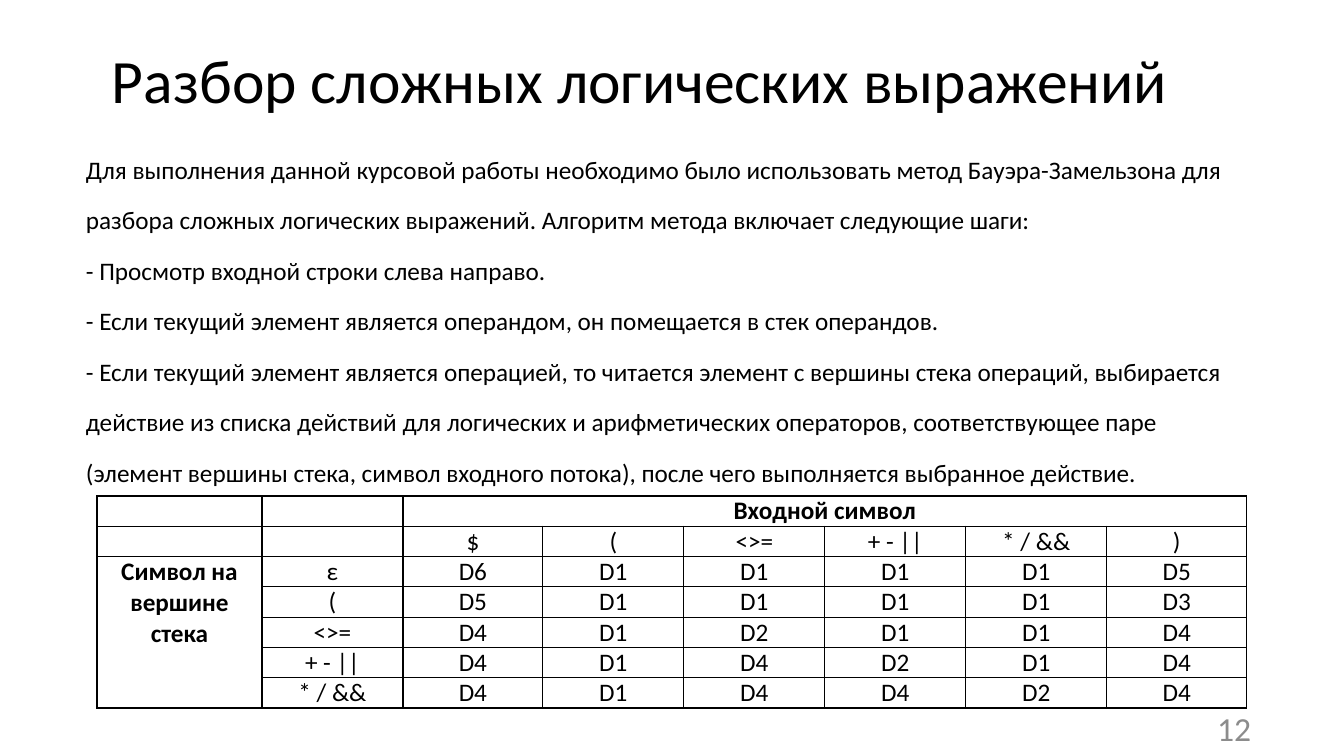
from dataclasses import dataclass

from lxml import etree
from pptx import Presentation
from pptx.dml.color import RGBColor
from pptx.enum.text import MSO_ANCHOR, PP_ALIGN
from pptx.oxml.ns import qn
from pptx.util import Pt

LEFT, CENTER, RIGHT = PP_ALIGN.LEFT, PP_ALIGN.CENTER, PP_ALIGN.RIGHT
TOP, MIDDLE = MSO_ANCHOR.TOP, MSO_ANCHOR.MIDDLE
WIDE, HIGH = 1344, 756
SCALE = 12192000 / WIDE


@dataclass(frozen=True)
class Theme:
    font: str = "Calibri"
    ink: str = "000000"
    paper: str = "FFFFFF"
    gray: str = "8C8C8C"
    title: int = 44
    body: int = 18
    number: int = 24
    rule: int = 1


def px(size):
    return round(size * SCALE)


def write(frame, text, size, color, font, align=LEFT, bold=False, space=1.0):
    for spot, line in enumerate(text.split("\n")):
        para = frame.add_paragraph() if spot else frame.paragraphs[0]
        para.alignment = align
        para.line_spacing = space
        run = para.add_run()
        run.text = line
        run.font.name = font
        run.font.size = Pt(size)
        run.font.bold = bold
        run.font.color.rgb = RGBColor.from_string(color)


class Page:
    def __init__(self, slide, theme):
        self.slide = slide
        self.theme = theme
        slide.background.fill.solid()
        slide.background.fill.fore_color.rgb = RGBColor.from_string(theme.paper)

    def text(self, box, text, size, color=None, anchor=TOP, **form):
        frame = self.slide.shapes.add_textbox(*map(px, box)).text_frame
        frame.word_wrap = True
        frame.vertical_anchor = anchor
        write(frame, text, size, color or self.theme.ink, self.theme.font, **form)

    def border(self, cell):
        props = cell._tc.get_or_add_tcPr()
        for side in ("a:lnL", "a:lnR", "a:lnT", "a:lnB"):
            line = etree.SubElement(props, qn(side), w=str(Pt(self.theme.rule)))
            fill = etree.SubElement(line, qn("a:solidFill"))
            etree.SubElement(fill, qn("a:srgbClr"), val=self.theme.ink)

    def table(self, left, top, cols, height, rows, spans):
        size = (sum(cols), height * len(rows))
        frame = self.slide.shapes.add_table(
            len(rows), len(cols), *map(px, (left, top, *size)))
        grid = frame.table
        grid.first_row = grid.horz_banding = False
        for col, width in zip(grid.columns, cols):
            col.width = px(width)
        for r, row in enumerate(rows):
            grid.rows[r].height = px(height)
            for c, text in enumerate(row):
                cell = grid.cell(r, c)
                cell.margin_left = cell.margin_right = px(7)
                cell.margin_top = cell.margin_bottom = 0
                self.border(cell)
                cell.fill.solid()
                cell.fill.fore_color.rgb = RGBColor.from_string(self.theme.paper)
                if text:
                    write(cell.text_frame, text, self.theme.body, self.theme.ink,
                          self.theme.font, align=CENTER, bold=(r, c) in spans)
        for start, end in spans.items():
            grid.cell(*start).merge(grid.cell(*end))


TITLE = "Разбор сложных логических выражений"
STEPS = "\n".join((
    "Для выполнения данной курсовой работы необходимо было использовать метод "
    "Бауэра-Замельзона для разбора сложных логических выражений. "
    "Алгоритм метода включает следующие шаги:",
    "- Просмотр входной строки слева направо.",
    "- Если текущий элемент является операндом, он помещается в стек операндов.",
    "- Если текущий элемент является операцией, то читается элемент с вершины "
    "стека операций, выбирается действие из списка действий для логических и "
    "арифметических операторов, соответствующее паре (элемент вершины стека, "
    "символ входного потока), после чего выполняется выбранное действие.",
))
SIGNS = ["(", "<>=", "+ - ||", "* / &&"]
MOVES = ["611115", "511113", "412114", "414214", "414424"]
ROWS = [
    ["", "", "Входной символ"] + [""] * 5,
    ["", "", "$", *SIGNS, ")"],
]
for sign, move in zip(["ε", *SIGNS], MOVES):
    ROWS.append(["", sign] + ["D" + digit for digit in move])
ROWS[2][0] = "Символ на вершине стека"
SPANS = {(0, 2): (0, 7), (2, 0): (6, 0)}
COLS = [165, 141, 140, 141, 141, 141, 141, 140]

deck = Presentation()
deck.slide_width, deck.slide_height = px(WIDE), px(HIGH)
theme = Theme()
page = Page(deck.slides.add_slide(deck.slide_layouts[6]), theme)
page.text((76, 13, 1129, 141), TITLE, theme.title,
          anchor=MIDDLE, align=CENTER, space=0.9)
page.text((76, 129, 1192, 316), STEPS, theme.body, space=1.67)
page.text((959, 708, 302, 40), "12", theme.number, color=theme.gray,
          anchor=MIDDLE, align=RIGHT)
page.table(97, 496, COLS, 30, ROWS, SPANS)
deck.save("out.pptx")
